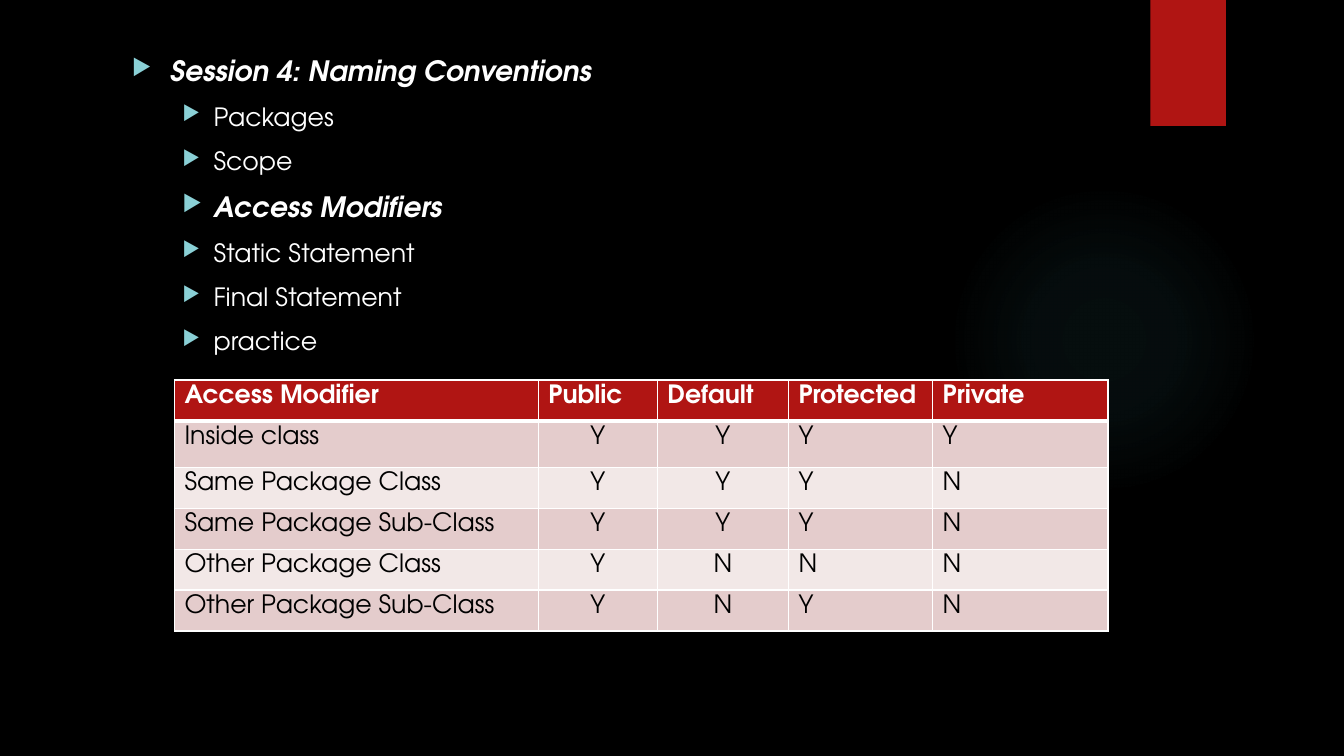
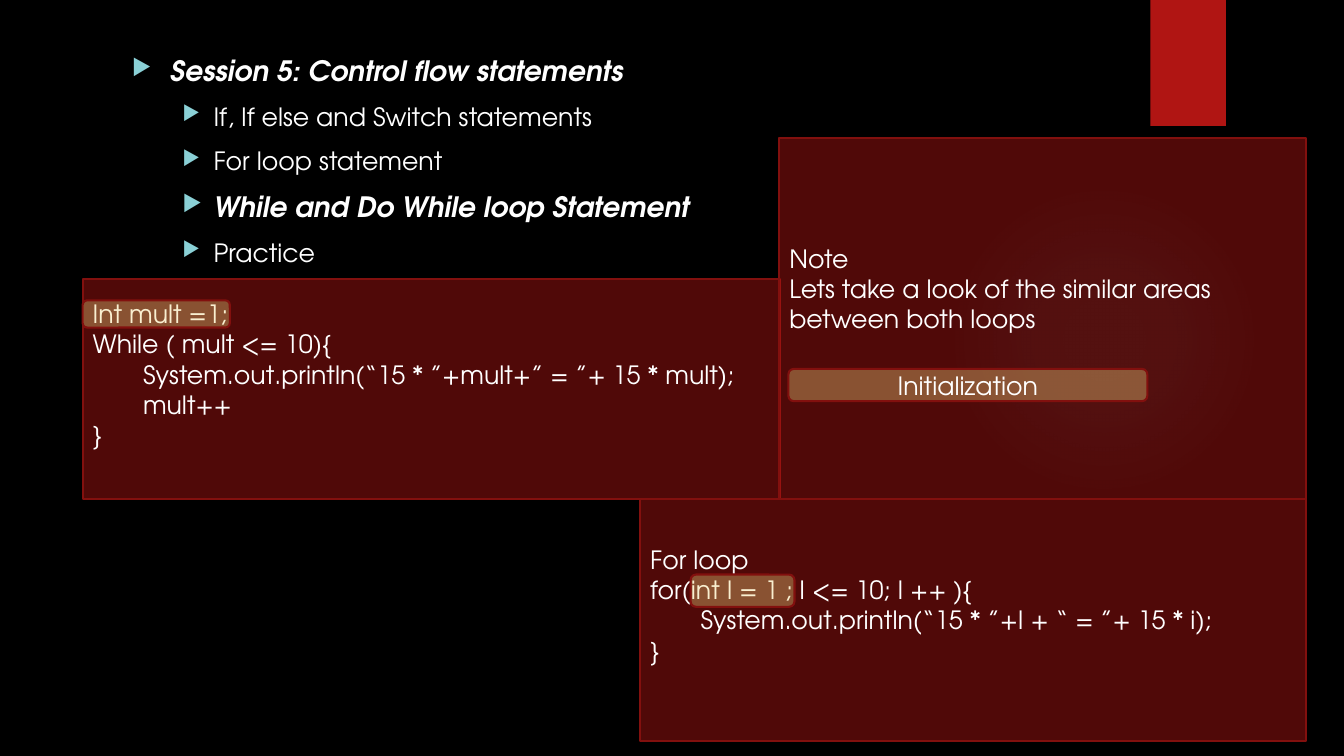
import pptx
import pptx.util
import pptx.dml.color
import pptx.enum.shapes
import pptx.enum.text
import pptx.oxml
import pptx.oxml.ns

Inches = pptx.util.Inches
Pt = pptx.util.Pt
RGB = pptx.dml.color.RGBColor
Kind = pptx.enum.shapes.MSO_SHAPE
Align = pptx.enum.text.PP_ALIGN
Anchor = pptx.enum.text.MSO_ANCHOR

BLACK = RGB(0x00, 0x00, 0x00)
WHITE = RGB(0xFF, 0xFF, 0xFF)
RED = RGB(0xB0, 0x15, 0x13)
EDGE = RGB(0x82, 0x10, 0x0E)
GOLD = RGB(0xF0, 0xD4, 0x7F)
GLOW = RGB(0x50, 0xB9, 0xC1)
AQUA = RGB(0x8A, 0xD0, 0xD6)
BANDS = [RGB(0xF2, 0xE8, 0xE7), RGB(0xE4, 0xCC, 0xCC)]
FACE = "TeX Gyre Adventor"
NS = pptx.oxml.ns.nsdecls("a")


def node(xml):
    return pptx.oxml.parse_xml(xml.replace(" ", f" {NS} ", 1))


def style(para, color=WHITE, size=18, bold=False, slant=False):
    font = para.font
    font.name = FACE
    font.size = Pt(size)
    font.bold = bold
    font.italic = slant
    font.color.rgb = color


prs = pptx.Presentation()
prs.slide_width = Inches(13.33)
prs.slide_height = Inches(7.5)
back = prs.slide_master.background.fill
back.solid()
back.fore_color.rgb = BLACK

outlines = [
    (["Session 4: Naming Conventions", "Packages", "Scope", "Access Modifiers",
      "Static Statement", "Final Statement", "practice"], 3),
    (["Session 5: Control flow statements", "If, If else and Switch statements",
      "For loop statement", "While and Do While loop Statement", "Practice"], 3),
]

for topics, active in outlines:
    slide = prs.slides.add_slide(prs.slide_layouts[6])

    glow = slide.shapes.add_shape(
        Kind.OVAL, Inches(9.41), Inches(1.83), Inches(3.08), Inches(3.08))
    glow.shadow.inherit = False
    glow.line.fill.background()
    stops = "".join(
        f'<a:gs pos="{pos}000"><a:srgbClr val="{GLOW}">'
        f'<a:alpha val="{alpha}000"/></a:srgbClr></a:gs>'
        for pos, alpha in [(0, 7), (36, 6), (69, 0), (100, 0)])
    glow._element.spPr.insert(2, node(
        f'<a:gradFill rotWithShape="1"><a:gsLst>{stops}</a:gsLst><a:path path="circle">'
        '<a:fillToRect l="50000" t="50000" r="50000" b="50000"/></a:path></a:gradFill>'))

    flag = slide.shapes.add_shape(
        Kind.RECTANGLE, Inches(11.41), 0, Inches(0.75), Inches(1.25))
    flag.shadow.inherit = False
    flag.fill.solid()
    flag.fill.fore_color.rgb = RED
    flag.line.fill.background()

    body = slide.shapes.add_textbox(
        Inches(1.21), Inches(0.48), Inches(9.78), Inches(6.35)).text_frame
    body.word_wrap = True
    body.text = "\n".join(topics)
    for row, para in enumerate(body.paragraphs):
        left, hang = (0.81, 0.31) if row else (0.38, 0.38)
        if row:
            para.space_before = Pt(10)
            para.level = 1
        props = para._p.get_or_add_pPr()
        props.set("marL", str(Inches(left)))
        props.set("indent", str(-Inches(hang)))
        props.append(node(f'<a:buClr ><a:srgbClr val="{AQUA}"/></a:buClr>'))
        props.append(node('<a:buSzPct val="80000"/>'))
        props.append(node('<a:buFont typeface="OpenSymbol"/>'))
        props.append(node('<a:buChar char="▶"/>'))
        strong = row in (0, active)
        style(para, size=20 if strong else 18, bold=strong, slant=strong)

access, loops = prs.slides

rows = [
    ["Access Modifier", "Public", "Default", "Protected", "Private"],
    ["Inside class", "Y", "Y", "Y", "Y"],
    ["Same Package Class", "Y", "Y", "Y", "N"],
    ["Same Package Sub-Class", "Y", "Y", "Y", "N"],
    ["Other Package Class", "Y", "N", "N", "N"],
    ["Other Package Sub-Class", "Y", "N", "Y", "N"],
]
total, tall = 2.49, 0.46
short = (total - tall) / (len(rows) - 1)
grid = access.shapes.add_table(
    len(rows), 5, Inches(1.73), Inches(3.77), Inches(9.26), Inches(total)).table
for col, width in zip(grid.columns, [3.61, 1.18, 1.3, 1.43, 1.74]):
    col.width = Inches(width)
for r, texts in enumerate(rows):
    grid.rows[r].height = Inches(tall if r == 1 else short)
    for c, text in enumerate(texts):
        cell = grid.cell(r, c)
        cell.text = text
        props = cell._tc.get_or_add_tcPr()
        for side in "LRTB":
            thick = (r, side) in [(0, "B"), (1, "T")]
            props.append(node(
                f'<a:ln{side} w="{Pt(3 if thick else 1)}"><a:solidFill>'
                f'<a:srgbClr val="{WHITE}"/></a:solidFill></a:ln{side}>'))
        cell.fill.solid()
        cell.fill.fore_color.rgb = BANDS[r % 2] if r else RED
        para = cell.text_frame.paragraphs[0]
        para.alignment = Align.CENTER if r and c in (1, 2) else Align.LEFT
        style(para, BLACK if r else WHITE, bold=r == 0)

WHILE = """Int mult =1;
While ( mult <= 10){
\tSystem.out.println(“15 * ”+mult+” = ”+ 15 * mult);
\tmult++
}"""
FOR = """For loop
for(int I = 1 ; I <= 10; I ++ ){
\tSystem.out.println(“15 * ”+I + “ = ”+ 15 * i);
}"""
NOTE = """Note
Lets take a look of the similar areas between both loops"""

panel = (Kind.RECTANGLE, RED, 46, Align.LEFT)
mark = (Kind.ROUNDED_RECTANGLE, GOLD, 36, Align.CENTER)
boxes = [
    (panel, 0.82, 2.77, 6.92, 2.18, WHILE, 0.35),
    (panel, 6.35, 4.95, 6.6, 2.4, FOR, 0.35),
    (mark, 0.82, 2.98, 1.46, 0.27, "", 0.05),
    (mark, 6.85, 5.7, 1.03, 0.32, "", 0.05),
    (panel, 7.73, 1.37, 5.22, 3.58, NOTE, 0.65),
    (mark, 7.82, 3.66, 3.56, 0.32, "Initialization", 0.05),
]
for (kind, color, alpha, align), left, top, width, height, text, foot in boxes:
    box = loops.shapes.add_shape(
        kind, Inches(left), Inches(top), Inches(width), Inches(height))
    box.shadow.inherit = False
    box.fill.solid()
    box.fill.fore_color.rgb = color
    tint = box._element.spPr.find(".//" + pptx.oxml.ns.qn("a:srgbClr"))
    tint.append(node(f'<a:alpha val="{alpha}000"/>'))
    box.line.color.rgb = EDGE
    box.line.width = Pt(1.5)
    if text:
        frame = box.text_frame
        frame.word_wrap = True
        frame.vertical_anchor = Anchor.MIDDLE
        frame.margin_bottom = Inches(foot)
        frame.text = text
        for para in frame.paragraphs:
            para.alignment = align
            if para.text.startswith("\t"):
                para._p.get_or_add_pPr().append(node(
                    f'<a:tabLst ><a:tab pos="{Inches(0.5)}" algn="l"/></a:tabLst>'))
            style(para)

prs.save("out.pptx")
